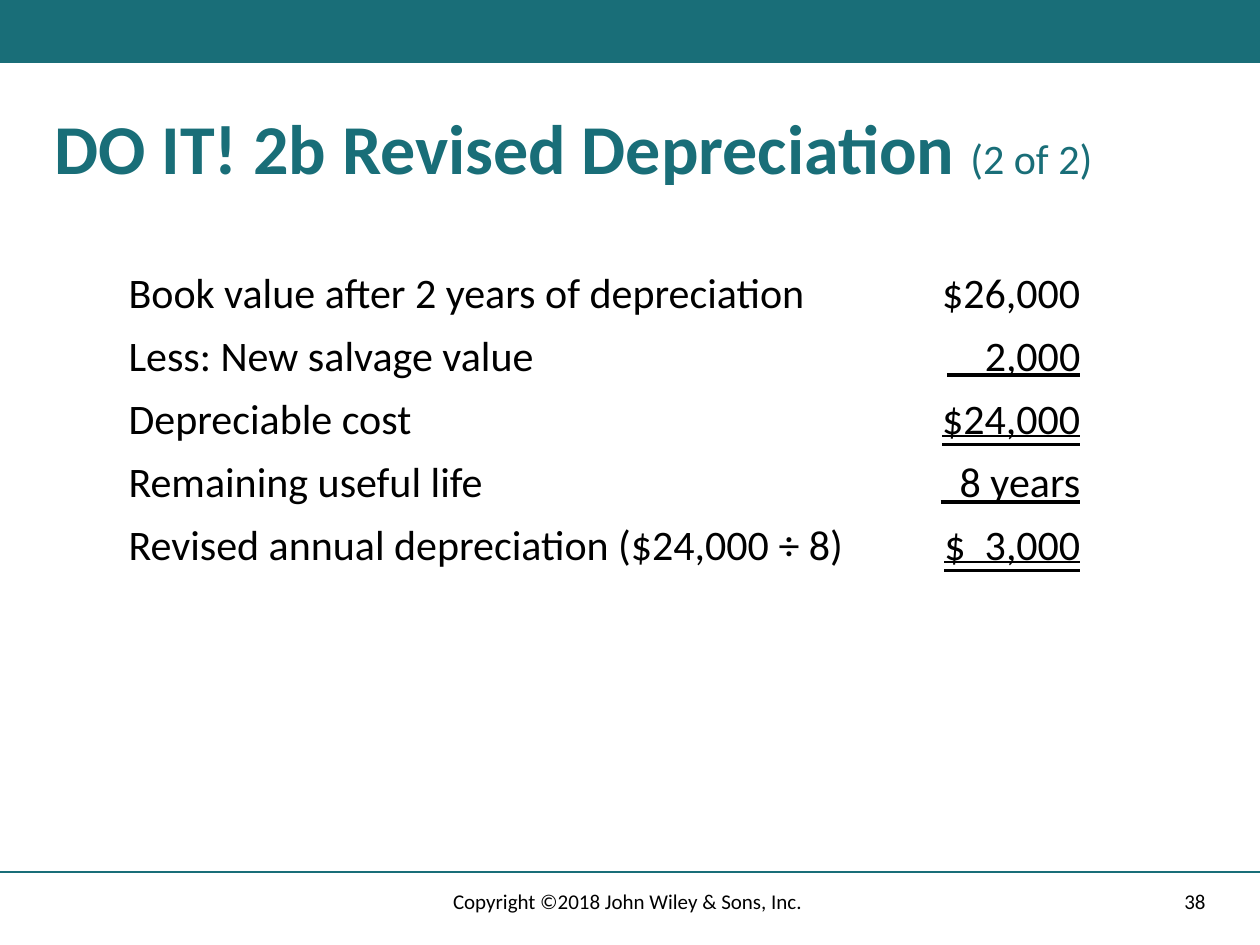
from pptx import Presentation
from pptx.dml.color import RGBColor
from pptx.enum.shapes import MSO_CONNECTOR, MSO_SHAPE
from pptx.enum.text import MSO_ANCHOR, MSO_UNDERLINE, PP_ALIGN
from pptx.oxml.ns import qn
from pptx.util import Emu, Pt
from lxml.etree import SubElement

COLORS = {"teal": "196E78", "black": "000000"}
FONT = "Calibri"
SINGLE, DOUBLE = MSO_UNDERLINE.SINGLE_LINE, MSO_UNDERLINE.DOUBLE_LINE


def px(count):
    """Turn pixels, 126 to the inch, into EMU."""
    return Emu(round(count * 914400 / 126))


def add_span(paragraph, text, size, color="black", bold=False, underline=None):
    span = paragraph.add_run()
    span.text = text
    span.font.name = FONT
    span.font.size = Pt(size)
    span.font.bold = bold
    span.font.underline = underline
    span.font.color.rgb = RGBColor.from_string(COLORS[color])


deck = Presentation()
deck.slide_width, deck.slide_height = px(1260), px(945)
page = deck.slides.add_slide(deck.slide_layouts[6])

# Top band and footer rule
band = page.shapes.add_shape(MSO_SHAPE.RECTANGLE, 0, 0, px(1260), px(63))
band.shadow.inherit = False
band.fill.solid()
band.fill.fore_color.rgb = RGBColor.from_string(COLORS["teal"])
band.line.fill.background()

rule = page.shapes.add_connector(MSO_CONNECTOR.STRAIGHT, 0, px(872), px(1260), px(872))
rule.line.color.rgb = RGBColor.from_string(COLORS["teal"])
rule.line.width = Pt(1)
SubElement(rule._element.spPr, qn("a:effectLst"))

# Title, page number and copyright line
text_boxes = [
    ((42, 105, 1176, 94), PP_ALIGN.LEFT, 0.9,
     [("DO IT! 2b Revised Depreciation ", 40, "teal", True), ("(2 of 2)", 24, "teal")]),
    ((890, 876, 328, 50), PP_ALIGN.RIGHT, 1.0, [("38", 12)]),
    ((417, 876, 426, 50), PP_ALIGN.CENTER, 1.0,
     [("Copyright ©2018 John Wiley & Sons, Inc. ", 12)]),
]
for place, alignment, spacing, spans in text_boxes:
    box = page.shapes.add_textbox(*map(px, place))
    box.text_frame.word_wrap = True
    box.text_frame.vertical_anchor = MSO_ANCHOR.MIDDLE
    paragraph = box.text_frame.paragraphs[0]
    paragraph.alignment = alignment
    paragraph.line_spacing = spacing
    for span in spans:
        add_span(paragraph, *span)

# Depreciation table; the spaces before amounts carry the underline
rows = [
    ("Book value after 2 years of depreciation", "$26,000", None),
    ("Less: New salvage value", "    2,000", SINGLE),
    ("Depreciable cost", "$24,000", DOUBLE),
    ("Remaining useful life", "  8 years", SINGLE),
    ("Revised annual depreciation ($24,000 ÷ 8)", "$  3,000", DOUBLE),
]
table = page.shapes.add_table(len(rows), 2, px(116), px(262), px(977), px(315)).table
table.first_row = table.horz_banding = False
table.columns[0].width, table.columns[1].width = px(798), px(179)
for index, (label, amount, underline) in enumerate(rows):
    label_cell, amount_cell = table.rows[index].cells
    label_cell.fill.background()
    amount_cell.fill.background()
    add_span(label_cell.text_frame.paragraphs[0], label, 24)
    amount_paragraph = amount_cell.text_frame.paragraphs[0]
    amount_paragraph.alignment = PP_ALIGN.RIGHT
    add_span(amount_paragraph, amount, 24, underline=underline)

deck.save("out.pptx")
